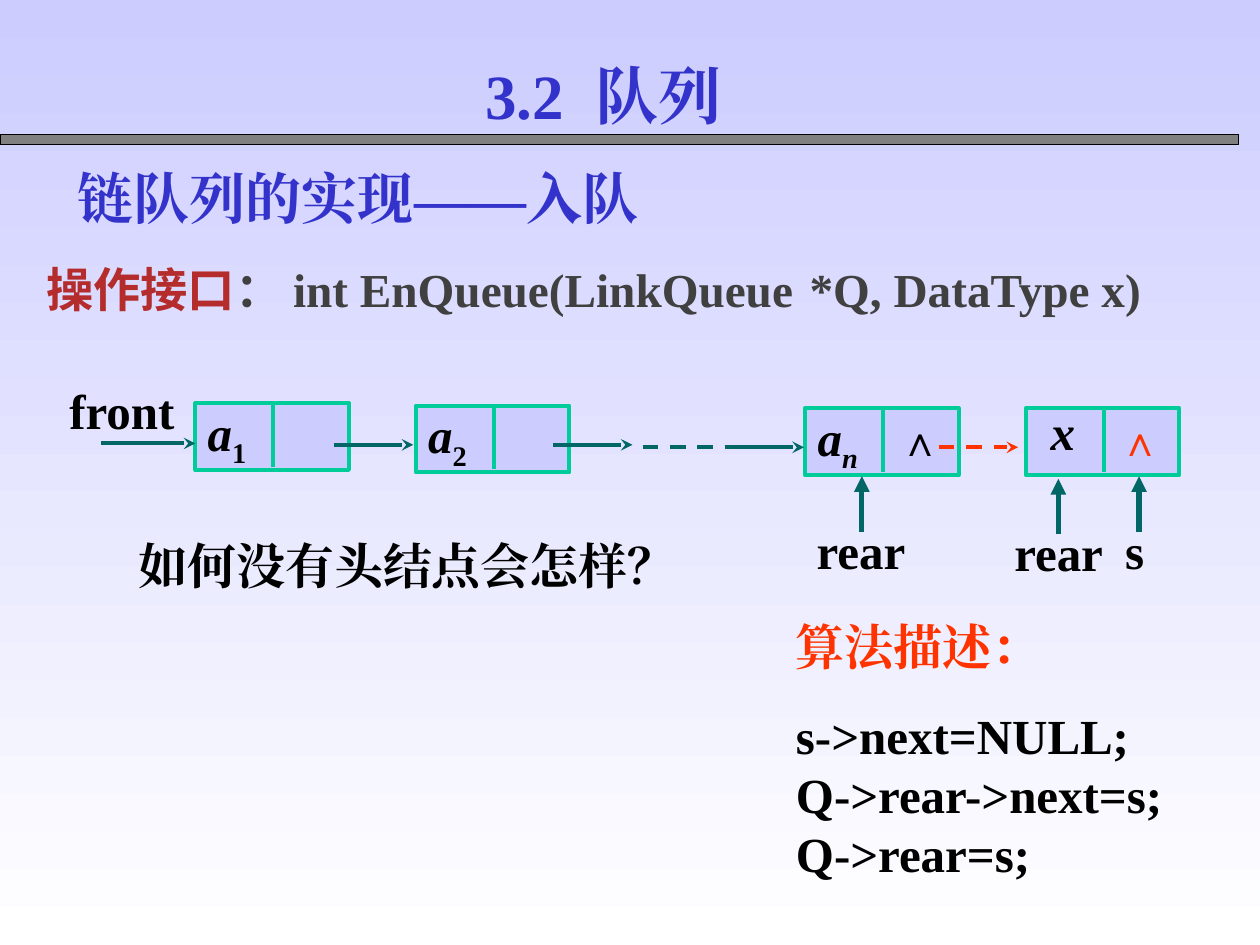
from typing import NamedTuple, Optional

from lxml import etree
from pptx import Presentation
from pptx.dml.color import RGBColor
from pptx.enum.dml import MSO_LINE
from pptx.enum.shapes import MSO_CONNECTOR, MSO_SHAPE
from pptx.enum.text import MSO_ANCHOR, PP_ALIGN
from pptx.oxml.ns import qn
from pptx.util import Pt

RECT = MSO_SHAPE.RECTANGLE
STRAIGHT = MSO_CONNECTOR.STRAIGHT
DASH = MSO_LINE.DASH
TOP = MSO_ANCHOR.TOP
LEFT, CENTER, JUSTIFY = PP_ALIGN.LEFT, PP_ALIGN.CENTER, PP_ALIGN.JUSTIFY

COLORS = {
    "sky": "CCCCFF", "white": "FFFFFF", "bar": "808080", "black": "000000",
    "heading": "3333CC", "edge": "00CC99", "arrow": "006666",
    "new": "FF3300", "label": "B42C2C", "code": "404040",
}
SERIF, SANS = "Times New Roman", "Noto Sans CJK SC"
NODE_W, NODE_H, DIVIDER_X, DIVIDER_H = 87.8, 38.2, 44.6, 36.4
BOX_INSETS = (7.2, 3.6, 7.2, 3.6)
NO_INSETS = (0, 0, 0, 0)


class Run(NamedTuple):
    text: str
    color: str = "black"
    size: float = 28
    font: str = SERIF
    italic: bool = False
    subscript: bool = False


class Node(NamedTuple):
    left: float
    top: float
    name: str
    index: str = ""
    index_italic: bool = False
    inset: float = 7.2


class Link(NamedTuple):
    start: float
    end: float
    y: float
    color: str = "arrow"
    dashed: bool = False
    head: Optional[str] = "stealth"


class Pointer(NamedTuple):
    name: str
    left: float
    top: float
    width: float
    arrow_x: float


def rgb(name: str) -> RGBColor:
    return RGBColor.from_string(COLORS[name])


def add_run(paragraph, run: Run) -> None:
    piece = paragraph.add_run()
    piece.text = run.text
    font = piece.font
    font.size, font.bold, font.name = Pt(run.size), True, run.font
    font.italic = run.italic
    font.color.rgb = rgb(run.color)
    props = piece._r.get_or_add_rPr()
    etree.SubElement(props, qn("a:ea"), typeface=run.font)
    if run.subscript:
        props.set("baseline", "-25000")


def write(shape, *paragraphs, insets=BOX_INSETS, align=LEFT, spacing=None,
          gaps=(), tab=None) -> None:
    """Fill a shape with paragraphs, each one a list of runs."""
    frame = shape.text_frame
    frame.word_wrap, frame.vertical_anchor = True, TOP
    (frame.margin_left, frame.margin_top,
     frame.margin_right, frame.margin_bottom) = map(Pt, insets)
    for number, runs in enumerate(paragraphs):
        paragraph = frame.add_paragraph() if number else frame.paragraphs[0]
        paragraph.alignment = align
        if spacing:
            paragraph.line_spacing = spacing
        if number < len(gaps):
            paragraph.space_before = Pt(gaps[number])
        if tab:
            tabs = etree.SubElement(paragraph._p.get_or_add_pPr(), qn("a:tabLst"))
            etree.SubElement(tabs, qn("a:tab"), pos=str(Pt(tab)), algn="l")
        for run in runs:
            add_run(paragraph, run)


def add_text(slide, left, top, width, height, *paragraphs, **style):
    box = slide.shapes.add_textbox(Pt(left), Pt(top), Pt(width), Pt(height))
    write(box, *paragraphs, **style)


def add_box(slide, left, top, width, height, fill, edge, weight):
    box = slide.shapes.add_shape(RECT, Pt(left), Pt(top), Pt(width), Pt(height))
    box.shadow.inherit = False
    box.fill.solid()
    box.fill.fore_color.rgb = rgb(fill)
    box.line.color.rgb = rgb(edge)
    box.line.width = Pt(weight)
    return box


def add_line(slide, x1, y1, x2, y2, color, weight=2.25, dashed=False, head=None):
    line = slide.shapes.add_connector(STRAIGHT, Pt(x1), Pt(y1), Pt(x2), Pt(y2))
    line.line.color.rgb = rgb(color)
    line.line.width = Pt(weight)
    if dashed:
        line.line.dash_style = DASH
    if head:
        etree.SubElement(line.line._get_or_add_ln(), qn("a:tailEnd"), type=head)
    etree.SubElement(line._element.spPr, qn("a:effectLst"))


def add_node(slide, node: Node) -> None:
    box = add_box(slide, node.left, node.top, NODE_W, NODE_H, "sky", "edge", 2.25)
    runs = [Run(node.name, italic=True)]
    if node.index:
        runs.append(Run(node.index, italic=node.index_italic, subscript=True))
    write(box, runs, insets=(node.inset, 0, 0, 5.8), spacing=0.9)
    x = node.left + DIVIDER_X
    add_line(slide, x, node.top, x, node.top + DIVIDER_H, "edge")


def add_pointer(slide, pointer: Pointer) -> None:
    add_text(slide, pointer.left, pointer.top, pointer.width, 25.2,
             [Run(pointer.name)], insets=NO_INSETS, align=JUSTIFY, spacing=0.8)
    add_line(slide, pointer.arrow_x, pointer.top, pointer.arrow_x,
             pointer.top - 31.7, "arrow", weight=3, head="triangle")


def add_text_shadow(shape) -> None:
    props = shape.text_frame.paragraphs[0].runs[0]._r.get_or_add_rPr()
    effects = etree.Element(qn("a:effectLst"))
    shadow = etree.SubElement(effects, qn("a:outerShdw"), dist="25400", dir="2700000")
    etree.SubElement(shadow, qn("a:srgbClr"), val=COLORS["bar"])
    props.find(qn("a:latin")).addprevious(effects)


NODES = [
    Node(111.6, 230.4, "a", "1"),
    Node(237.6, 231.8, "a", "2"),
    Node(460.1, 233.3, "a", "n", index_italic=True),
    Node(586.1, 233.3, "x", inset=14.2),
]
LINKS = [
    Link(57.6, 111.6, 253.4),
    Link(190.8, 236.2, 254.2),
    Link(316.1, 361.4, 254.2),
    Link(367.2, 411.1, 255.6, dashed=True, head=None),
    Link(414, 459.4, 255.6),
    Link(536.4, 581.8, 255.6, color="new", dashed=True),
]
POINTERS = [
    Pointer("rear", 466.6, 303.8, 61.2, 492.5),
    Pointer("rear", 579.6, 305.3, 61.2, 604.8),
    Pointer("s", 643, 303.8, 17.3, 650.9),
]


def main() -> None:
    deck = Presentation()
    deck.slide_width, deck.slide_height = Pt(720), Pt(540)
    slide = deck.slides.add_slide(deck.slide_layouts[5])

    # Background and rule under the title
    backdrop = slide.background.fill
    backdrop.gradient()
    backdrop.gradient_angle = 270
    for stop, color in zip(backdrop.gradient_stops, ("sky", "white")):
        stop.color.rgb = rgb(color)
    add_box(slide, 0, 77, 707.8, 5.8, "bar", "black", 0.75)

    # Title and headings
    title = slide.shapes.title
    title.left, title.top, title.width, title.height = map(Pt, (190, 28.8, 309.6, 50.4))
    write(title, [Run("3.2  队列", "heading", 36)], align=CENTER)
    add_text_shadow(title)
    add_text(slide, 37.4, 90, 486, 46, [Run("链队列的实现——入队", "heading", 32)])
    add_text(slide, 25.9, 150.5, 626.4, 61.2,
             [Run("操作接口", "label", 27, SANS), Run("： ", "code", 27, SANS),
              Run("int EnQueue(LinkQueue\t*Q, DataType x)", "code", 27)],
             insets=NO_INSETS, align=CENTER, spacing=Pt(30.5), tab=436.3)

    # Linked queue
    for node in NODES:
        add_node(slide, node)
    for link in LINKS:
        add_line(slide, link.start, link.y, link.end, link.y, link.color,
                 dashed=link.dashed, head=link.head)
    for left, color in ((506.9, "black"), (632.9, "new")):
        add_text(slide, left, 233.3, 41, 35.3, [Run("∧", color, 24)])
    add_text(slide, 39.6, 217.4, 68.4, 36.7, [Run("front")], insets=NO_INSETS)
    for pointer in POINTERS:
        add_pointer(slide, pointer)

    # Question and algorithm
    add_text(slide, 72, 302.4, 366.5, 41, [Run("如何没有头结点会怎样？")])
    steps = ("s->next=NULL;", "Q->rear->next=s;", "Q->rear=s;")
    add_text(slide, 447.8, 348.5, 257, 159, [Run("算法描述：", "new")],
             *([Run(step)] for step in steps), gaps=(0, 17.5))

    deck.save("out.pptx")


if __name__ == "__main__":
    main()
